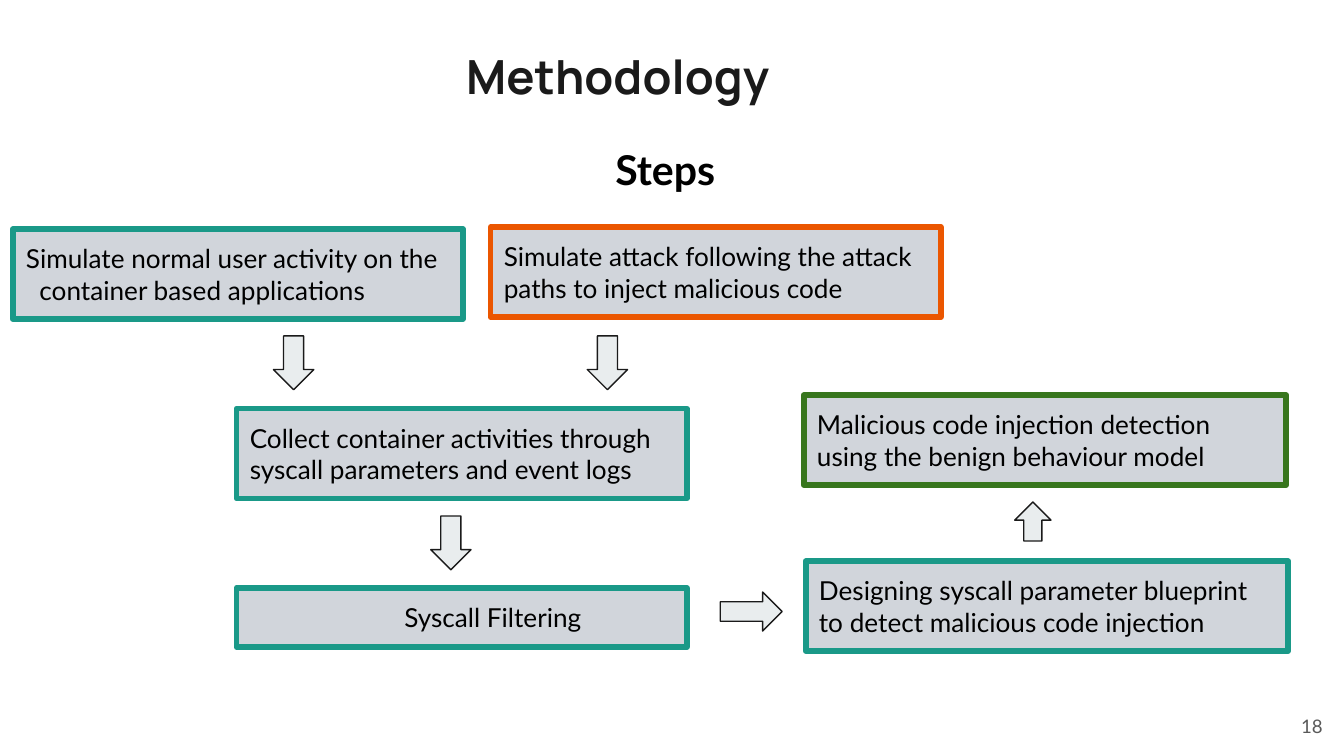
from pptx import Presentation
from pptx.dml.color import RGBColor
from pptx.enum.shapes import MSO_SHAPE
from pptx.enum.text import MSO_ANCHOR, PP_ALIGN
from pptx.util import Inches, Pt

RECT = MSO_SHAPE.RECTANGLE
DOWN, UP, RIGHT = MSO_SHAPE.DOWN_ARROW, MSO_SHAPE.UP_ARROW, MSO_SHAPE.RIGHT_ARROW
TOP, MIDDLE = MSO_ANCHOR.TOP, MSO_ANCHOR.MIDDLE
ALIGN_LEFT, ALIGN_RIGHT = PP_ALIGN.LEFT, PP_ALIGN.RIGHT

TEAL, ORANGE, GREEN = "1A9988", "EB5600", "38761D"
GREY, PALE, INK, BLACK = "D1D5DB", "E9EDEE", "1A1A1A", "000000"

deck = Presentation()
deck.slide_width = Inches(10)
deck.slide_height = deck.slide_width * 9 // 16
page = deck.slides.add_slide(deck.slide_layouts[6])
CELL = deck.slide_width // 100  # one column or row of the square grid


def add_block(left, top, width, height, kind=None, fill=GREY, line=TEAL, weight=3):
    """Add a text box, or a filled and outlined shape, placed in grid cells."""
    place = [round(CELL * cells) for cells in (left, top, width, height)]
    if kind is None:
        return page.shapes.add_textbox(*place)
    box = page.shapes.add_shape(kind, *place)
    box.shadow.inherit = False
    box.fill.solid()
    box.fill.fore_color.rgb = RGBColor.from_string(fill)
    box.line.color.rgb = RGBColor.from_string(line)
    box.line.width = Pt(weight)
    return box


def write(box, text, size=14, font="Lato", color=BLACK, bold=False, align=ALIGN_LEFT,
          anchor=TOP, margin=0, indent=0, right_inset=1):
    """Write one paragraph; margin, indent and inset are in grid cells."""
    frame = box.text_frame
    frame.word_wrap = True
    frame.vertical_anchor = anchor
    frame.margin_left = frame.margin_top = frame.margin_bottom = CELL
    frame.margin_right = round(CELL * right_inset)
    para = frame.paragraphs[0]
    para.alignment = align
    layout = para._p.get_or_add_pPr()
    layout.set("marL", str(round(CELL * margin)))
    layout.set("indent", str(round(CELL * indent)))
    span = para.add_run()
    span.text = text
    span.font.size, span.font.name, span.font.bold = Pt(size), font, bold
    span.font.color.rgb = RGBColor.from_string(color)


# Headings and page number
write(add_block(18.7, 2.5, 73.6, 5.9), "Methodology", size=25.2, font="Manrope",
      color=INK, bold=True, margin=15)
write(add_block(30, 9.75, 33.8, 5.7), "Steps", size=22, bold=True, indent=14.8)
write(add_block(93.4, 51.9, 6, 4.3), "18", size=10, color="595959",
      align=ALIGN_RIGHT, anchor=MIDDLE)

# Step boxes: left, top, width, height, outline, text, text format
WIDE, WIDER, TALL, SHORT = 33.5, 35.9, 6.7, 4.4
steps = [
    (0.95, 17.05, WIDE, TALL, TEAL,
     "Simulate normal user activity on the container based applications",
     {"margin": 1, "indent": -1}),
    (36.5, 16.9, WIDE, TALL, ORANGE,
     "Simulate attack following the attack paths to inject malicious code", {}),
    (17.6, 30.4, WIDE, TALL, TEAL,
     "Collect container activities through syscall parameters and event logs", {}),
    (17.6, 43.75, WIDE, SHORT, TEAL, "Syscall Filtering", {"indent": 11.5}),
    (59.95, 41.75, WIDER, TALL, TEAL,
     "Designing syscall parameter blueprint to detect malicious code injection",
     {"right_inset": 2}),
    (59.8, 29.4, WIDER, TALL, GREEN,
     "Malicious code injection detection using the benign behaviour model", {}),
]
for left, top, width, height, outline, text, text_format in steps:
    write(add_block(left, top, width, height, RECT, line=outline), text, **text_format)

# Block arrows between the steps
arrows = [
    (DOWN, 20.35, 25, 3, 4),
    (DOWN, 43.7, 25, 3, 4),
    (DOWN, 32.05, 38.4, 3, 4),
    (RIGHT, 53.6, 44.05, 4.6, 2.9),
    (UP, 75.5, 37.35, 2.7, 2.9),
]
for kind, *place in arrows:
    add_block(*place, kind, fill=PALE, line=INK, weight=0.75)

deck.save("out.pptx")
